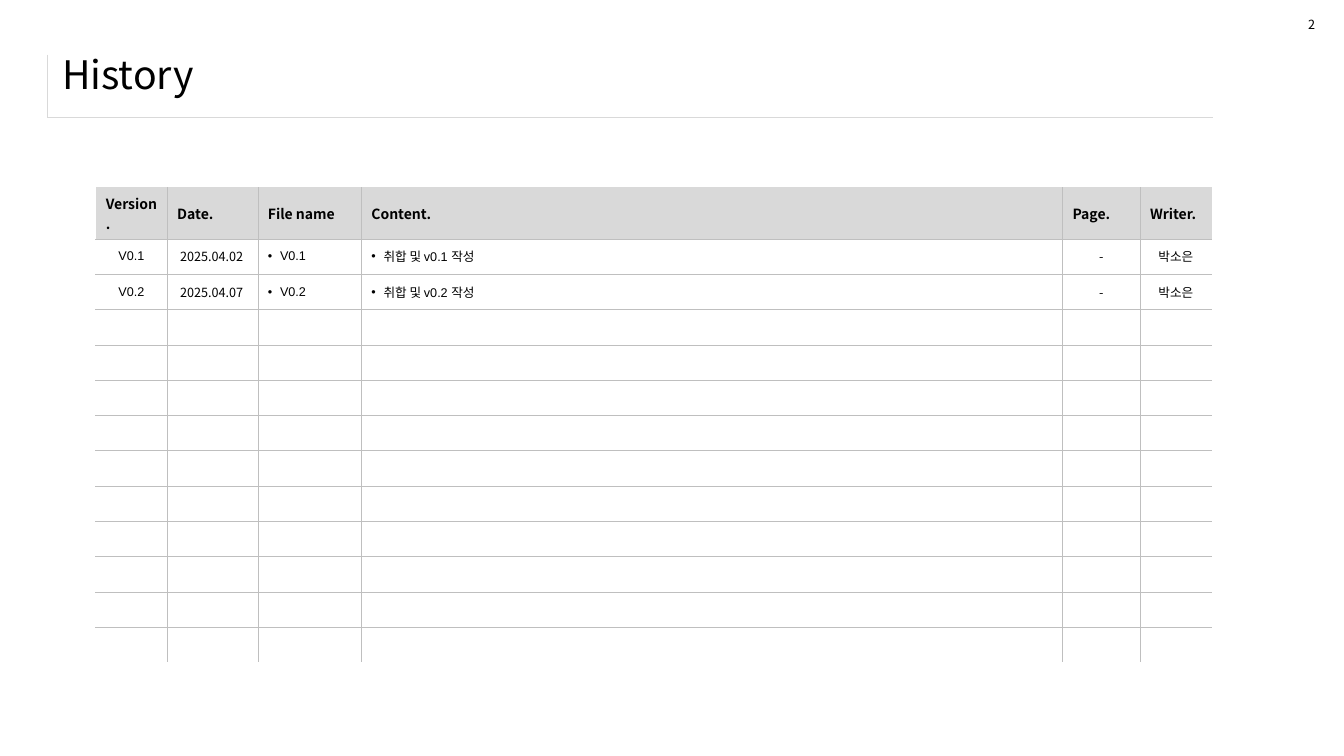
from lxml.etree import SubElement
from pptx import Presentation
from pptx.dml.color import RGBColor
from pptx.enum.text import MSO_ANCHOR, PP_ALIGN
from pptx.oxml import parse_xml
from pptx.oxml.ns import nsdecls, qn
from pptx.util import Pt

BLACK = RGBColor(0x00, 0x00, 0x00)
WHITE = RGBColor(0xFF, 0xFF, 0xFF)
LIGHT_GRAY = RGBColor(0xD9, 0xD9, 0xD9)
GRID_GRAY = RGBColor(0xBF, 0xBF, 0xBF)

SANS = "Noto Sans CJK KR"
ARIAL = "Arial"

GRID_LINE = (GRID_GRAY, 0.25)
TITLE_LINE = (LIGHT_GRAY, 0.25)
WHITE_LINE = (WHITE, 1)

HEADERS = ["Version.", "Date.", "File name", "Content.", "Page.", "Writer."]
COLUMN_WIDTHS = [51, 64.8, 73.9, 500.8, 55.4, 51.2]
COLUMN_FONTS = [ARIAL, SANS, ARIAL, ARIAL, SANS, SANS]
CENTERED_COLUMNS = {0, 4, 5}
BULLET_COLUMNS = {2, 3}
HISTORY = [
    ["V0.1", " 2025.04.02", "V0.1", "취합 및 v0.1 작성", "-", "박소은"],
    ["V0.2", " 2025.04.07", "V0.2", "취합 및 v0.2 작성", "-", "박소은"],
]
BODY_ROWS = 12
HEADER_HEIGHT = 36.6
BODY_HEIGHT = 25.25


def format_run(run, size, font_name, bold=False):
    run.font.size = Pt(size)
    run.font.name = font_name
    run.font.bold = bold
    run.font.color.rgb = BLACK
    east_asian = SubElement(run.font._element, qn("a:ea"))
    east_asian.set("typeface", SANS)


def add_text(slide, text, left, top, width, height, size, wrap=True):
    text_frame = slide.shapes.add_textbox(
        Pt(left), Pt(top), Pt(width), Pt(height)).text_frame
    text_frame.word_wrap = wrap
    text_frame.text = text
    format_run(text_frame.paragraphs[0].runs[0], size, SANS)
    return text_frame


def add_plain_table(slide, left, top, widths, heights):
    """Add a table without banding or header style, sized by its rows and columns."""
    table = slide.shapes.add_table(
        len(heights), len(widths), Pt(left), Pt(top),
        Pt(sum(widths)), Pt(sum(heights))).table
    table.first_row = False
    table.horz_banding = False
    for column, width in zip(table.columns, widths):
        column.width = Pt(width)
    for row, height in zip(table.rows, heights):
        row.height = Pt(height)
    return table


def set_borders(cell, left=None, right=None, top=None, bottom=None):
    """Draw each side given as (colour, points) and hide the others."""
    properties = cell._tc.get_or_add_tcPr()
    sides = {"lnL": left, "lnR": right, "lnT": top, "lnB": bottom}
    for position, (tag, line) in enumerate(sides.items()):
        color, width = line or (None, 0)
        fill = (f'<a:solidFill><a:srgbClr val="{color}"/></a:solidFill>'
                if line else "<a:noFill/>")
        properties.insert(position, parse_xml(
            f'<a:{tag} {nsdecls("a")} w="{Pt(width)}">{fill}</a:{tag}>'))


def set_empty_text_size(cell, size):
    """Keep an empty cell from stretching its row."""
    end = SubElement(cell.text_frame.paragraphs[0]._p, qn("a:endParaRPr"))
    end.set("sz", str(size * 100))


def add_bullet(paragraph):
    properties = paragraph._p.get_or_add_pPr()
    properties.set("marL", str(Pt(8.64)))
    properties.set("indent", str(Pt(-8.64)))
    SubElement(properties, qn("a:buFont")).set("typeface", ARIAL)
    SubElement(properties, qn("a:buChar")).set("char", "•")


def fill_header_cell(cell, text):
    cell.fill.solid()
    cell.fill.fore_color.rgb = LIGHT_GRAY
    cell.text_frame.text = text
    format_run(cell.text_frame.paragraphs[0].runs[0], 10, SANS, bold=True)


def fill_body_cell(cell, text, column):
    cell.fill.background()
    if not text:
        set_empty_text_size(cell, 9)
        return
    cell.text_frame.text = text
    paragraph = cell.text_frame.paragraphs[0]
    if column in CENTERED_COLUMNS:
        paragraph.alignment = PP_ALIGN.CENTER
    if column in BULLET_COLUMNS:
        add_bullet(paragraph)
    format_run(paragraph.runs[0], 9, COLUMN_FONTS[column])


def add_title(slide):
    frame = add_plain_table(slide, 34, 39, [832.4], [45]).cell(0, 0)
    frame.fill.background()
    set_empty_text_size(frame, 18)
    set_borders(frame, left=TITLE_LINE, bottom=TITLE_LINE)

    text_frame = add_text(slide, "History", 37.4, 32.4, 899.3, 45.4, 28)
    text_frame.vertical_anchor = MSO_ANCHOR.MIDDLE
    text_frame.paragraphs[0].line_spacing = 0.9


def add_history_table(slide):
    heights = [HEADER_HEIGHT] + [BODY_HEIGHT] * BODY_ROWS
    table = add_plain_table(slide, 68.4, 133.9, COLUMN_WIDTHS, heights)
    blank_row = [""] * len(HEADERS)
    contents = [HEADERS] + HISTORY + [blank_row] * (BODY_ROWS - len(HISTORY))
    last_column = len(HEADERS) - 1
    for row, texts in enumerate(contents):
        for column, text in enumerate(texts):
            cell = table.cell(row, column)
            cell.vertical_anchor = MSO_ANCHOR.MIDDLE
            if row == 0:
                fill_header_cell(cell, text)
            else:
                fill_body_cell(cell, text, column)
            set_borders(
                cell,
                left=WHITE_LINE if column == 0 else GRID_LINE,
                right=None if column == last_column else GRID_LINE,
                top=None if row == 0 else GRID_LINE,
                bottom=WHITE_LINE if row == BODY_ROWS else GRID_LINE)


def main():
    presentation = Presentation()
    presentation.slide_width = Pt(960)
    presentation.slide_height = Pt(540)
    slide = presentation.slides.add_slide(presentation.slide_layouts[6])
    add_title(slide)
    add_history_table(slide)
    add_text(slide, "2", 927.4, 8.6, 19.4, 18, 9, wrap=False)
    presentation.save("out.pptx")


if __name__ == "__main__":
    main()
